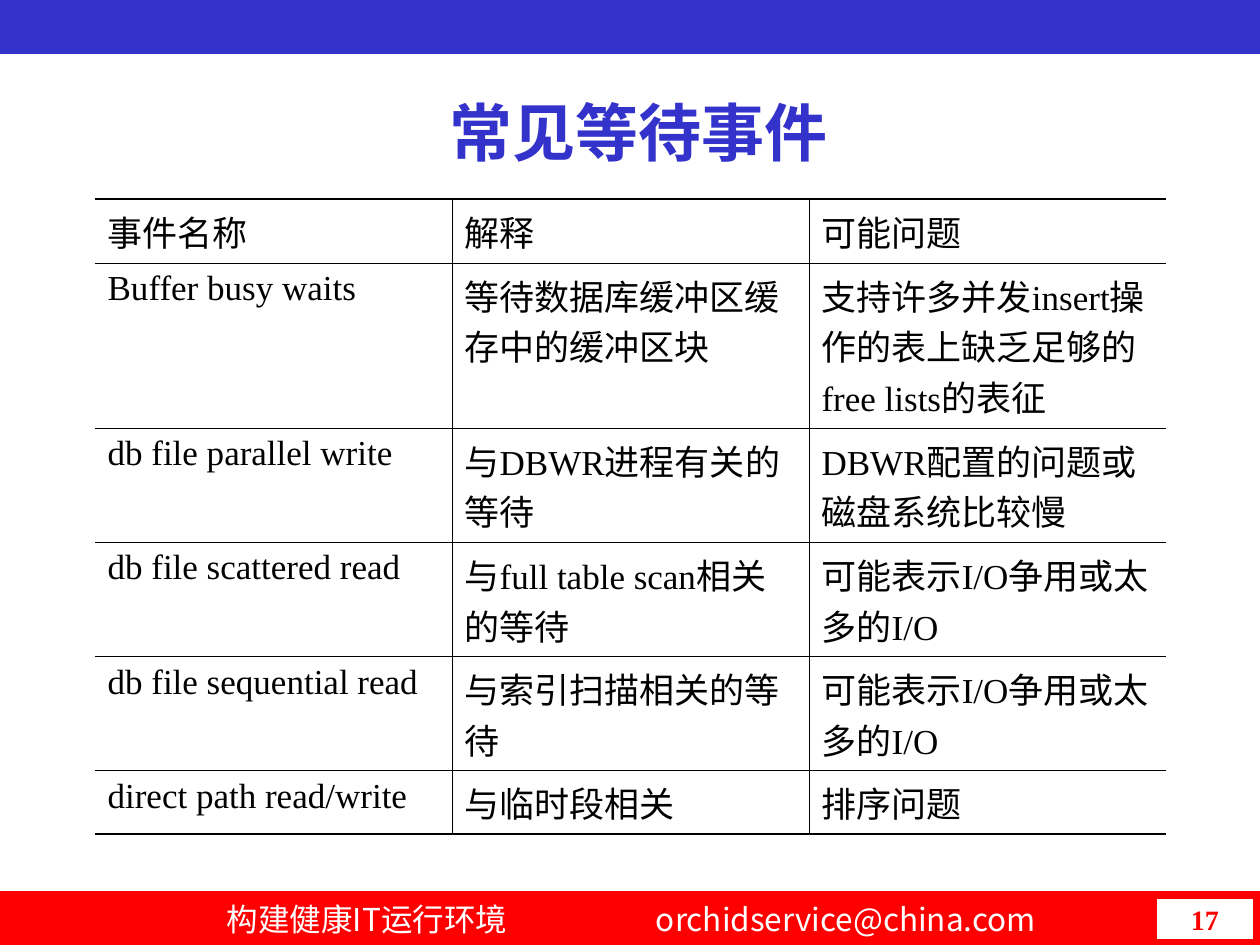
import dataclasses
import typing

import lxml.etree
import pptx
import pptx.dml.color
import pptx.enum.shapes
import pptx.enum.text
import pptx.oxml.ns
import pptx.util

PX = pptx.util.Inches(1) // 126
BLUE, RED, WHITE, BLACK = "3333CC", "FF0000", "FFFFFF", "000000"
LATIN, HAN = "Times New Roman", "Noto Sans CJK SC"
THIN, THICK = 0.45, 1.08
LEFT = pptx.enum.text.PP_ALIGN.LEFT
CENTER = pptx.enum.text.PP_ALIGN.CENTER


@dataclasses.dataclass(frozen=True)
class Style:
    size: int
    color: str
    bold: bool = False
    latin: str = LATIN


@dataclasses.dataclass(frozen=True)
class Bar:
    x: int
    y: int
    w: int
    h: int
    fill: str
    line: str


TITLE = Style(36, BLUE, True)
BODY = Style(20, BLACK)
FOOTER = Style(18, WHITE, latin=HAN)
NUMBER = Style(16, RED, True)

TOP_BAR = Bar(0, 0, 1260, 53, BLUE, BLUE)
FOOTER_BAR = Bar(0, 892, 1260, 53, RED, RED)
NUMBER_BOX = Bar(1156, 898, 98, 42, WHITE, RED)

COLUMN_WIDTH = 357
ROW_HEIGHTS = [64, 139, 100, 100, 110, 59]
ROWS = [
    ("事件名称", "解释", "可能问题"),
    ("Buffer busy waits", "等待数据库缓冲区缓存中的缓冲区块",
     "支持许多并发insert操作的表上缺乏足够的free lists的表征"),
    ("db file parallel write", "与DBWR进程有关的等待", "DBWR配置的问题或磁盘系统比较慢"),
    ("db file scattered read", "与full table scan相关的等待", "可能表示I/O争用或太多的I/O"),
    ("db file sequential read", "与索引扫描相关的等待", "可能表示I/O争用或太多的I/O"),
    ("direct path read/write", "与临时段相关", "排序问题"),
]


def px(n: int) -> int:
    return pptx.util.Emu(n * PX)


def rgb(color: str) -> pptx.dml.color.RGBColor:
    return pptx.dml.color.RGBColor.from_string(color)


def add_child(parent: typing.Any, tag: str, **attrs: str) -> typing.Any:
    return lxml.etree.SubElement(parent, pptx.oxml.ns.qn(tag), attrs)


def write(tf: typing.Any, text: str, style: Style, align: typing.Any = CENTER,
          tab: int = 0, before: int = 0) -> None:
    tf.word_wrap = True
    tf.text = text
    p = tf.paragraphs[0]
    p.alignment = align
    p.space_before = pptx.util.Pt(before)
    if tab:
        tabs = add_child(p._p.get_or_add_pPr(), "a:tabLst")
        add_child(tabs, "a:tab", pos=str(px(tab)), algn="l")
    p.font.size = pptx.util.Pt(style.size)
    p.font.bold = style.bold
    p.font.color.rgb = rgb(style.color)
    p.font.name = style.latin
    add_child(p.font._element, "a:ea", typeface=HAN)


def add_bar(s: typing.Any, bar: Bar) -> typing.Any:
    sp = s.shapes.add_shape(pptx.enum.shapes.MSO_SHAPE.RECTANGLE,
                            px(bar.x), px(bar.y), px(bar.w), px(bar.h))
    sp.shadow.inherit = False
    sp.fill.solid()
    sp.fill.fore_color.rgb = rgb(bar.fill)
    sp.line.color.rgb = rgb(bar.line)
    sp.line.width = pptx.util.Pt(0.75)
    sp.text_frame.vertical_anchor = pptx.enum.text.MSO_ANCHOR.MIDDLE
    return sp


def set_border(cell: typing.Any, tag: str, width: float) -> None:
    ln = add_child(cell._tc.get_or_add_tcPr(), tag, w=str(pptx.util.Pt(width)))
    if width:
        fill = add_child(ln, "a:solidFill")
        add_child(fill, "a:srgbClr", val=BLACK)
    else:
        add_child(ln, "a:noFill")


def add_event_table(s: typing.Any) -> None:
    n_rows, n_cols = len(ROWS), len(ROWS[0])
    table = s.shapes.add_table(n_rows, n_cols, px(95), px(199),
                               px(COLUMN_WIDTH * n_cols), px(sum(ROW_HEIGHTS))).table
    table.first_row = table.horz_banding = False
    for column in table.columns:
        column.width = px(COLUMN_WIDTH)
    for i, (row, height) in enumerate(zip(ROWS, ROW_HEIGHTS)):
        table.rows[i].height = px(height)
        for j, text in enumerate(row):
            cell = table.cell(i, j)
            set_border(cell, "a:lnL", THIN if j else 0)
            set_border(cell, "a:lnR", THIN if j < n_cols - 1 else 0)
            set_border(cell, "a:lnT", THIN if i else THICK)
            set_border(cell, "a:lnB", THIN if i < n_rows - 1 else THICK)
            cell.fill.background()
            write(cell.text_frame, text, BODY, LEFT)


def main() -> None:
    prs = pptx.Presentation()
    prs.slide_width, prs.slide_height = px(1260), px(945)
    s = prs.slides.add_slide(prs.slide_layouts[5])

    title = s.shapes.title
    title.left, title.top, title.width, title.height = px(95), px(84), px(1071), px(95)
    title.text_frame.vertical_anchor = pptx.enum.text.MSO_ANCHOR.MIDDLE
    title.text_frame.margin_left = px(28)
    write(title.text_frame, "常见等待事件", TITLE)

    add_bar(s, TOP_BAR)
    footer = add_bar(s, FOOTER_BAR)
    footer.text_frame.margin_left = px(227)
    write(footer.text_frame, "构建健康IT运行环境\torchidservice@china.com", FOOTER, LEFT, tab=429)
    number = add_bar(s, NUMBER_BOX)
    write(number.text_frame, "17", NUMBER)

    add_event_table(s)
    prs.save("out.pptx")


if __name__ == "__main__":
    main()
